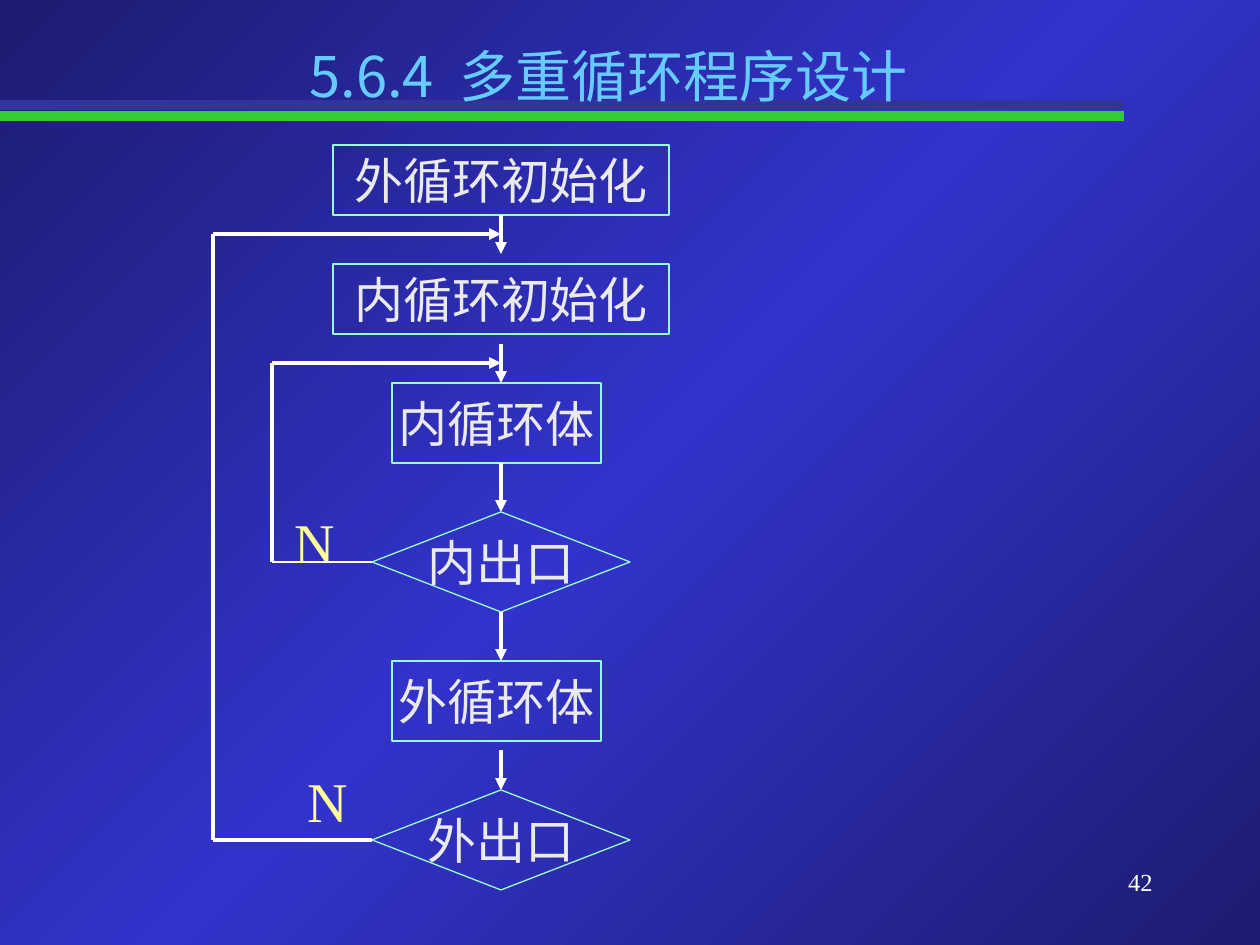
from copy import deepcopy

from lxml.etree import SubElement
from pptx import Presentation
from pptx.dml.color import RGBColor
from pptx.enum.shapes import MSO_CONNECTOR as Connector, MSO_SHAPE as Shape
from pptx.enum.text import MSO_ANCHOR as Anchor, PP_ALIGN as Align
from pptx.oxml.ns import qn
from pptx.util import Pt

EMU_PER_PX = 914400 / 126
CJK_FONT = "Noto Sans CJK SC"
SERIF_FONT = "Times New Roman"
TITLE = {"name": CJK_FONT, "size": Pt(32)}
NODE = {"name": SERIF_FONT, "size": Pt(28)}
LABEL = {"name": SERIF_FONT, "size": Pt(32)}
NUMBER = {"name": SERIF_FONT, "size": Pt(14)}


def px(length):
    """Turn px into EMU."""
    return round(length * EMU_PER_PX)


def color(value):
    """Turn a hex string into a colour."""
    return RGBColor.from_string(value)


def write(shape, text, style, hex_color, align=Align.CENTER):
    """Put one formatted paragraph into a shape."""
    paragraph = shape.text_frame.paragraphs[0]
    paragraph.alignment = align
    run = paragraph.add_run()
    run.text = text
    for name, value in style.items():
        setattr(run.font, name, value)
    run.font.color.rgb = color(hex_color)
    SubElement(run.font._element, qn("a:ea"), typeface=CJK_FONT)


def add_text(slide, box, text, style, hex_color, align=Align.CENTER):
    """Add a wrapping text box."""
    shape = slide.shapes.add_textbox(*map(px, box))
    shape.text_frame.word_wrap = True
    write(shape, text, style, hex_color, align)


def add_line(slide, start, end, width=2.25, hex_color="FFFFFF", arrow=False):
    """Add a straight line, with an arrowhead if wanted."""
    line = slide.shapes.add_connector(Connector.STRAIGHT, *map(px, (*start, *end)))
    line.line.color.rgb = color(hex_color)
    line.line.width = Pt(width)
    if arrow:
        SubElement(line.line._get_or_add_ln(), qn("a:tailEnd"), type="triangle")
    SubElement(line._element.spPr, qn("a:effectLst"))
    return line


def add_node(slide, box, text, preset):
    """Add an outlined flowchart node."""
    shape = slide.shapes.add_shape(preset, *map(px, box))
    shape.shadow.inherit = False
    shape.fill.background()
    shape.line.color.rgb = color("99FFCC")
    shape.line.width = Pt(0.75)
    shape.text_frame.word_wrap = False
    shape.text_frame.vertical_anchor = Anchor.MIDDLE
    write(shape, text, NODE, "EAEAEA")
    return shape


def paint_background(slide):
    """Fill the background with a diagonal gradient."""
    fill = slide.background.fill
    fill.gradient()
    fill.gradient_angle = 315
    stop_list = fill.gradient_stops[0]._gs.getparent()
    stop_list.insert(1, deepcopy(stop_list[0]))
    stops = zip(fill.gradient_stops, (0, 0.5, 1), ("1C1C70", "3333CC", "1C1C70"))
    for stop, position, hex_color in stops:
        stop.position = position
        stop.color.rgb = color(hex_color)


def draw_header(slide, box):
    """Draw the two rules and the title."""
    left, top, width, height = box
    for y, hex_color in ((top + height, "33CC33"), (top + height - 11, "333399")):
        add_line(slide, (left, y), (left + width, y), 5.5, hex_color)
    add_text(slide, (left + 105, top, 1007, 79), "5.6.4  多重循环程序设计", TITLE, "66CCFF")


def draw_flowchart(slide, box):
    """Draw the nested loops as a flowchart."""
    left, top, width, height = box
    axis = left + 288
    stage_gap = 278

    def arrow(start, end):
        return add_line(slide, (axis, top + start), (axis, top + end), arrow=True)

    starts = [
        add_node(slide, (left + 120, top + y, 336, 70), text, Shape.FLOWCHART_PROCESS)
        for text, y in (("外循环初始化", 0), ("内循环初始化", 119))
    ]
    exits = []
    for index, name in enumerate("内外"):
        y = top + index * stage_gap
        add_node(slide, (left + 179, y + 238, 209, 80), name + "循环体", Shape.FLOWCHART_PROCESS)
        decision = (left + 159, y + 367, 258, 100)
        exits.append(add_node(slide, decision, name + "出口", Shape.FLOWCHART_DECISION))

    arrow(70, 109).begin_connect(starts[0], 2)
    arrow(199, 238)
    arrow(318, 367).end_connect(exits[0], 0)
    arrow(467, 516).begin_connect(exits[0], 2)
    arrow(605, 645).end_connect(exits[1], 0)

    loops = ((59, 417, 218, 0.75, (40, 356, 123, 79)), (0, 695, 89, 2.25, (50, 615, 129, 79)))
    for decision, (side, low, high, weight, label) in zip(exits, loops):
        x, bottom, joint = left + side, top + low, top + high
        add_line(slide, (left + 159, bottom), (x, bottom), weight).begin_connect(decision, 1)
        add_line(slide, (x, bottom), (x, joint))
        add_line(slide, (x, joint), (axis, joint), arrow=True)
        label_left, label_top, *size = label
        add_text(slide, (left + label_left, top + label_top, *size), "N", LABEL, "FFFF99")


def main():
    """Build and save the slide."""
    presentation = Presentation()
    presentation.slide_width = px(1260)
    presentation.slide_height = px(945)
    slide = presentation.slides.add_slide(presentation.slide_layouts[6])
    paint_background(slide)
    draw_header(slide, (0, 35, 1124, 81))
    add_text(slide, (903, 861, 262, 63), "42", NUMBER, "FFFFFF", Align.RIGHT)
    draw_flowchart(slide, (213, 145, 456, 745))
    presentation.save("out.pptx")


if __name__ == "__main__":
    main()
